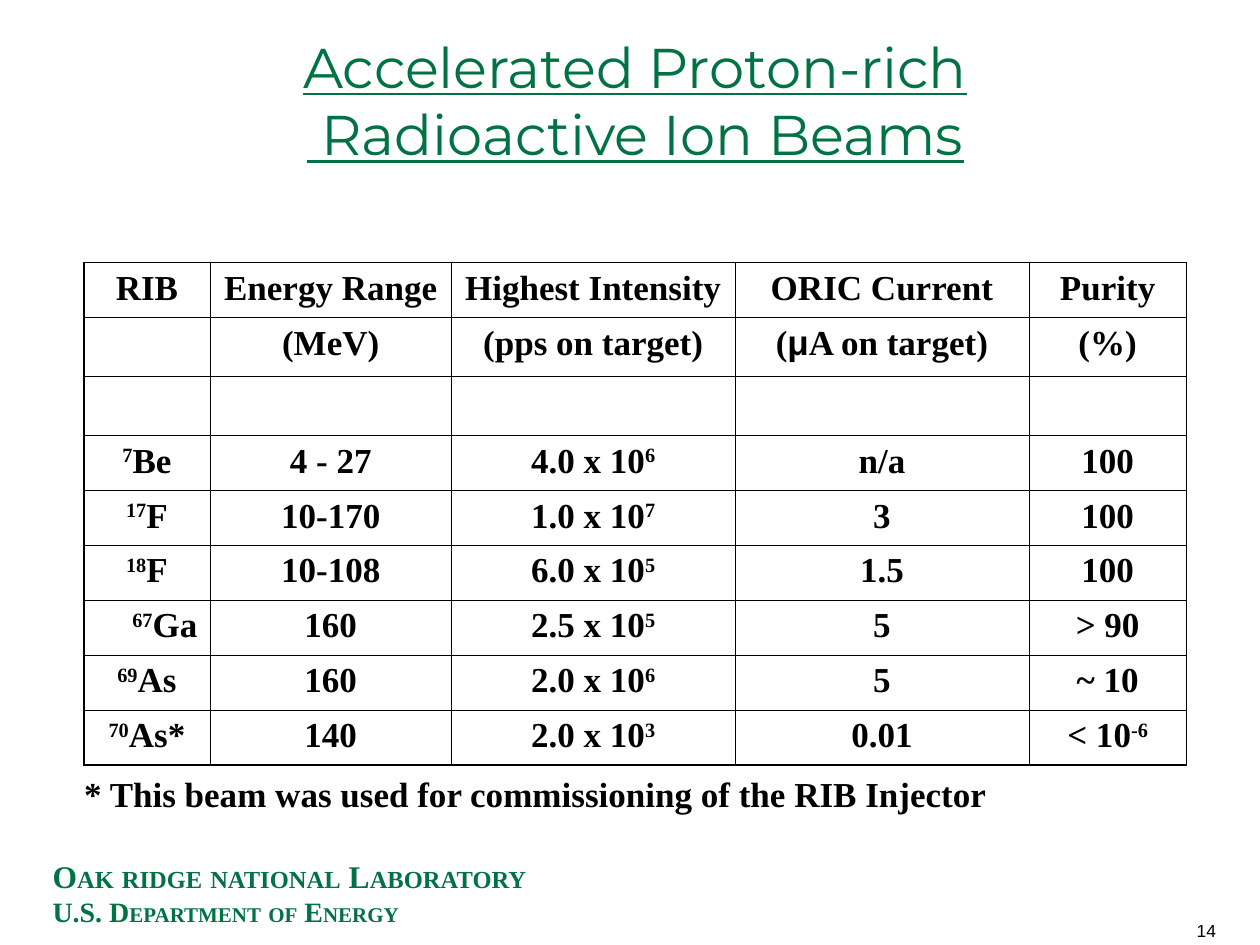
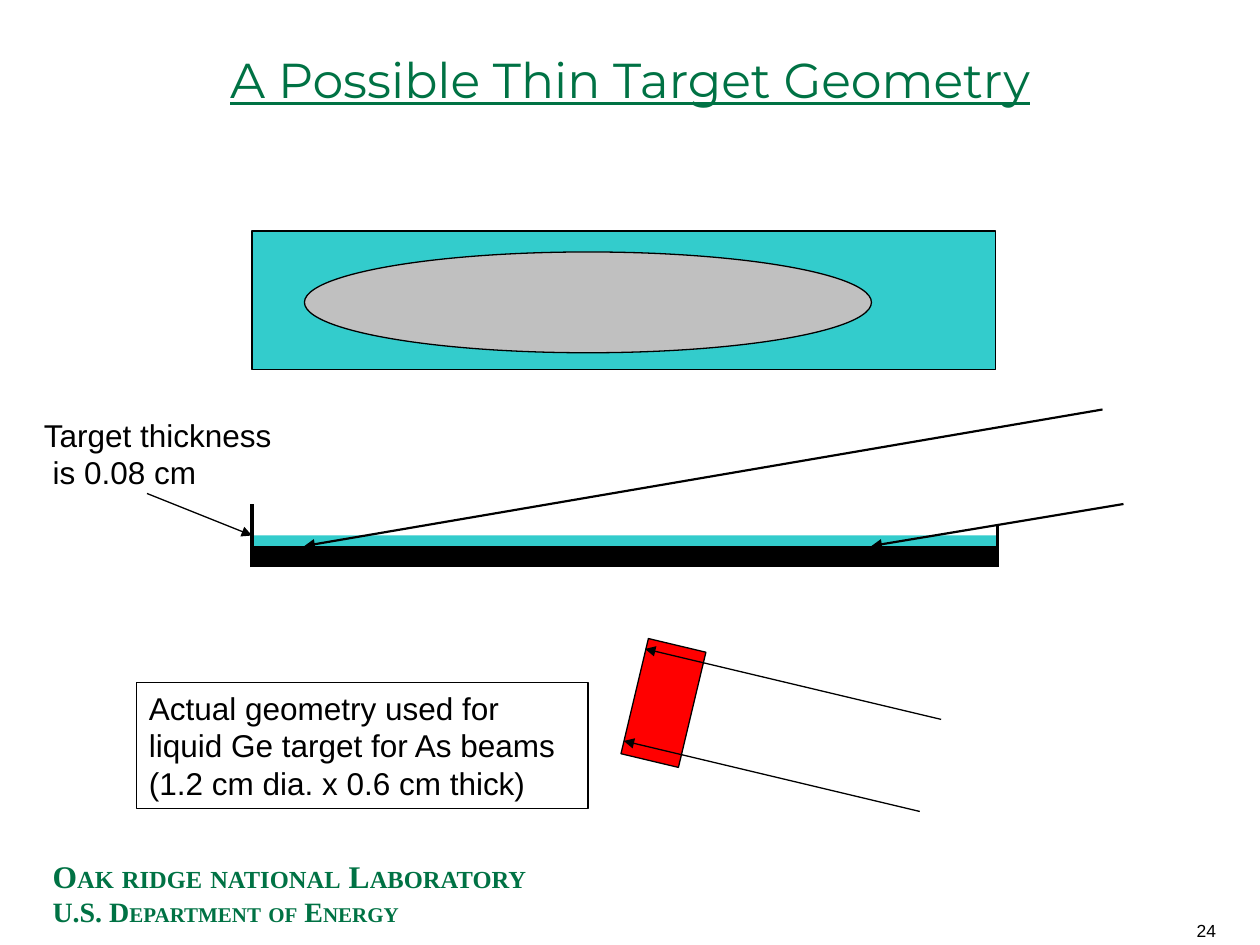
"""Build two slides on radioactive ion beams: a beam table and a target geometry sketch."""
from lxml import etree
from pptx import Presentation
from pptx.dml.color import RGBColor
from pptx.enum.shapes import MSO_CONNECTOR, MSO_SHAPE
from pptx.enum.text import MSO_ANCHOR, MSO_AUTO_SIZE, PP_ALIGN
from pptx.oxml.ns import qn
from pptx.util import Pt

LEFT, CENTER, RIGHT = PP_ALIGN.LEFT, PP_ALIGN.CENTER, PP_ALIGN.RIGHT
MIDDLE, TOP = MSO_ANCHOR.MIDDLE, MSO_ANCHOR.TOP
NO_AUTOFIT = MSO_AUTO_SIZE.NONE
RECTANGLE, ELLIPSE = MSO_SHAPE.RECTANGLE, MSO_SHAPE.OVAL
STRAIGHT = MSO_CONNECTOR.STRAIGHT

COLORS = {"green": "007244", "black": "000000", "teal": "33CCCC", "gray": "C0C0C0", "red": "FF0000"}
TITLE_FONT, SERIF, SANS = "Montserrat", "Times New Roman", "Arial"
TITLE_ONLY = 5

# Parts between carets are small capitals in the footer and superscripts or symbols in the table.
FOOTER_LINES = [
    ("O^AK^ ^RIDGE^ ^NATIONAL^ L^ABORATORY", 18, 14),
    ("U.S. D^EPARTMENT^ ^OF^ E^NERGY", 16, 12),
]

BEAM_ROWS = [
    ("RIB", "Energy Range", "Highest Intensity", "ORIC Current", "Purity"),
    ("", "(MeV)", "(pps on target)", "(^μ^A on target)", "(%)"),
    ("", "", "", "", ""),
    ("^7^Be", "4 - 27", "4.0 x 10^6", "n/a", "100"),
    ("^17^F", "10-170", "1.0 x 10^7", "3", "100"),
    ("^18^F", "10-108", "6.0 x 10^5", "1.5", "100"),
    ("^67^Ga", "160", "2.5 x 10^5", "5", "> 90"),
    ("^69^As", "160", "2.0 x 10^6", "5", "~ 10"),
    ("^70^As*", "140", "2.0 x 10^3", "0.01", "< 10^-6"),
]
COLUMN_WIDTHS = [72, 138, 162, 168, 90]
ROW_HEIGHT, GAP_ROW_HEIGHT = 31.43, 33.71
RIGHT_ALIGNED = "^67^Ga"
INNER_BORDER, OUTER_BORDER = 0.45, 1.08
BEAM_NOTE = "* This beam was used for commissioning of the RIB Injector"

TARGET_BLOCK = [
    (RECTANGLE, (362.2, 367.9, 33.8, 67.7), "red", 0.75, 13.4),
]
TARGET_BEAMS = [
    ((537.8, 411.1), (368.6, 370.8), 0.75, True),
    ((525.6, 463.7), (356.4, 423.4), 0.75, True),
]
LIQUID_LAYER = [
    (RECTANGLE, (144, 306, 426, 6), "teal", None, 0),
]
TRAY_WALLS = [
    ((144, 324), (144, 288), 2, False),
    ((570, 324), (570, 300), 2, False),
    ((570, 318), (144, 318), 11.5, False),
]
TOP_VIEW = [
    (RECTANGLE, (144, 132, 425, 79), "teal", 0.75, 0),
    (ELLIPSE, (174, 144, 324, 57.6), "gray", 0.75, 0),
]
LAYER_ARROWS = [
    ((642, 288), (498, 312), 1.25, True),
    ((630, 234), (174, 312), 1.25, True),
    ((84, 282), (144, 306), 0.75, True),
]
GEOMETRY_NOTE = [
    "Actual geometry used for liquid Ge target for As beams",
    "(1.2 cm dia. x 0.6 cm thick)",
]
THICKNESS_LABEL = ["Target thickness", " is 0.08 cm"]


def rgb(name):
    return RGBColor.from_string(COLORS[name])


def points(values):
    return [Pt(value) for value in values]


def style(font, name, size, color="black", bold=False):
    font.name, font.size, font.bold = name, Pt(size), bold
    font.color.rgb = rgb(color)


def add_marked_runs(paragraph, text):
    """Add one run per part and yield it with whether it stood between carets."""
    for index, part in enumerate(text.split("^")):
        if part:
            run = paragraph.add_run()
            run.text = part
            yield run, index % 2 == 1


def write_lines(text_frame, lines, name, size, bold=False, align=LEFT):
    text_frame.text = "\n".join(lines)
    for paragraph in text_frame.paragraphs:
        paragraph.alignment = align
        for run in paragraph.runs:
            style(run.font, name, size, bold=bold)


def add_text(slide, box, lines, name, size, bold=False, align=LEFT, wrap=True):
    text_frame = slide.shapes.add_textbox(*points(box)).text_frame
    text_frame.word_wrap = wrap
    write_lines(text_frame, lines, name, size, bold, align)


def add_footer(slide, number):
    text_frame = slide.shapes.add_textbox(*points((23, 486, 294, 48))).text_frame
    text_frame.word_wrap = True
    for index, (text, large, small) in enumerate(FOOTER_LINES):
        paragraph = text_frame.add_paragraph() if index else text_frame.paragraphs[0]
        for run, is_small in add_marked_runs(paragraph, text):
            style(run.font, SERIF, small if is_small else large, "green", True)
    add_text(slide, (552, 522, 150, 18), [str(number)], SANS, 10, align=RIGHT)


def add_slide(presentation, title, title_box, title_size, number):
    slide = presentation.slides.add_slide(presentation.slide_layouts[TITLE_ONLY])
    shape = slide.shapes.title
    shape.left, shape.top, shape.width, shape.height = points(title_box)
    text_frame = shape.text_frame
    text_frame.text = title
    text_frame.auto_size = NO_AUTOFIT
    text_frame.vertical_anchor = MIDDLE
    paragraph = text_frame.paragraphs[0]
    paragraph.alignment = CENTER
    for run in paragraph.runs:
        style(run.font, TITLE_FONT, title_size, "green")
        run.font.underline = True
    add_footer(slide, number)
    return slide


def set_borders(cell, widths):
    properties = cell._tc.get_or_add_tcPr()
    for position, (side, width) in enumerate(widths.items()):
        line = etree.Element(qn(f"a:ln{side}"), w=str(Pt(width)))
        fill = etree.SubElement(line, qn("a:solidFill"))
        etree.SubElement(fill, qn("a:srgbClr"), val=COLORS["black"])
        properties.insert(position, line)


def fill_cell(cell, text):
    cell.fill.background()
    cell.vertical_anchor = TOP
    paragraph = cell.text_frame.paragraphs[0]
    paragraph.alignment = RIGHT if text == RIGHT_ALIGNED else CENTER
    for run, is_marked in add_marked_runs(paragraph, text):
        is_symbol = run.text == "μ"
        style(run.font, SANS if is_symbol else SERIF, 20, bold=True)
        if is_marked and not is_symbol:
            run._r.get_or_add_rPr().set("baseline", "30000")


def add_beam_table(slide):
    heights = [ROW_HEIGHT if row[0] else GAP_ROW_HEIGHT for row in BEAM_ROWS]
    box = (48, 150, sum(COLUMN_WIDTHS), sum(heights))
    last_row, last_column = len(heights) - 1, len(COLUMN_WIDTHS) - 1
    table = slide.shapes.add_table(last_row + 1, last_column + 1, *points(box)).table
    table.first_row = table.horz_banding = False
    for column, width in zip(table.columns, COLUMN_WIDTHS):
        column.width = Pt(width)
    for row, height in zip(table.rows, heights):
        row.height = Pt(height)
    for r, texts in enumerate(BEAM_ROWS):
        for c, text in enumerate(texts):
            cell = table.cell(r, c)
            fill_cell(cell, text)
            outer = {"L": c == 0, "R": c == last_column, "T": r == 0, "B": r == last_row}
            set_borders(cell, {side: OUTER_BORDER if edge else INNER_BORDER
                               for side, edge in outer.items()})


def add_shapes(slide, shapes):
    for kind, box, color, line_width, rotation in shapes:
        shape = slide.shapes.add_shape(kind, *points(box))
        shape.shadow.inherit = False
        shape.rotation = rotation
        shape.fill.solid()
        shape.fill.fore_color.rgb = rgb(color)
        set_outline(shape, line_width)


def set_outline(shape, width):
    if width is None:
        shape.line.fill.background()
    else:
        shape.line.color.rgb = rgb("black")
        shape.line.width = Pt(width)


def add_lines(slide, lines):
    for start, end, width, has_arrow in lines:
        connector = slide.shapes.add_connector(STRAIGHT, *points(start + end))
        set_outline(connector, width)
        if has_arrow:
            etree.SubElement(connector.line._get_or_add_ln(), qn("a:tailEnd"), type="triangle")
        etree.SubElement(connector._element.spPr, qn("a:effectLst"))


def add_note_box(slide):
    shape = slide.shapes.add_shape(RECTANGLE, *points((78, 390, 258, 72)))
    shape.shadow.inherit = False
    shape.fill.background()
    set_outline(shape, 0.75)
    shape.text_frame.word_wrap = True
    shape.text_frame.vertical_anchor = TOP
    write_lines(shape.text_frame, GEOMETRY_NOTE, SANS, 18)


def build_beam_slide(presentation):
    title = "Accelerated Proton-rich\v Radioactive Ion Beams"
    slide = add_slide(presentation, title, (30, 12, 666, 90), 32, 14)
    add_beam_table(slide)
    add_text(slide, (41, 438, 531, 32), [BEAM_NOTE], SERIF, 20, bold=True, wrap=False)


def build_target_slide(presentation):
    slide = add_slide(presentation, "A Possible Thin Target Geometry", (0, 0, 720, 90), 28, 24)
    add_shapes(slide, TARGET_BLOCK)
    add_lines(slide, TARGET_BEAMS)
    add_note_box(slide)
    add_shapes(slide, LIQUID_LAYER)
    add_lines(slide, TRAY_WALLS)
    add_shapes(slide, TOP_VIEW)
    add_lines(slide, LAYER_ARROWS)
    add_text(slide, (18, 234, 146, 50), THICKNESS_LABEL, SANS, 18, wrap=False)


def main():
    presentation = Presentation()
    presentation.slide_width, presentation.slide_height = Pt(720), Pt(540)
    build_beam_slide(presentation)
    build_target_slide(presentation)
    presentation.save("out.pptx")


if __name__ == "__main__":
    main()
